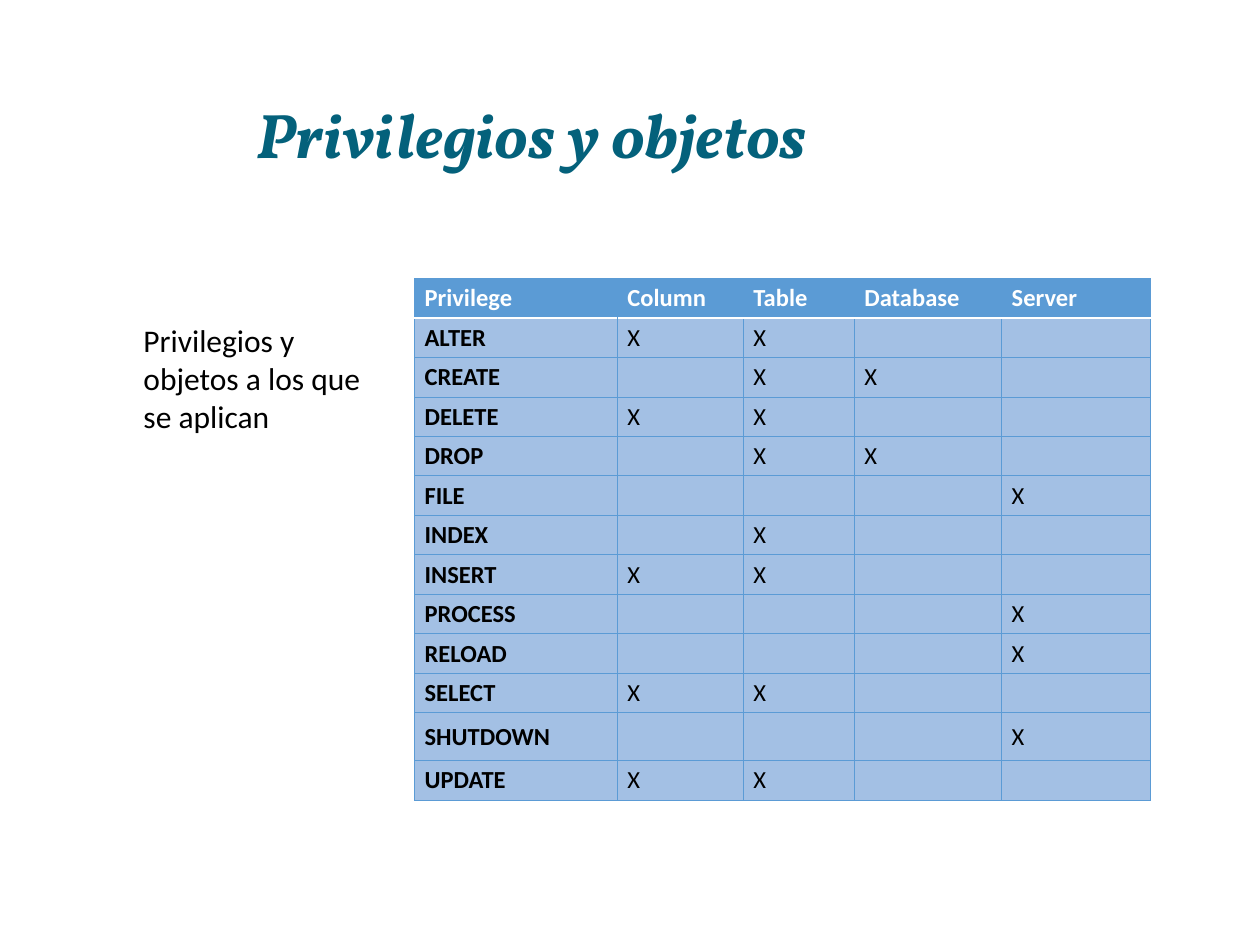
from lxml import etree
from pptx import Presentation
from pptx.dml.color import RGBColor
from pptx.enum.text import MSO_ANCHOR, PP_ALIGN
from pptx.oxml.ns import qn
from pptx.util import Inches, Pt

MIDDLE, TOP = MSO_ANCHOR.MIDDLE, MSO_ANCHOR.TOP
CENTER, LEFT = PP_ALIGN.CENTER, PP_ALIGN.LEFT

# Content
TITLE = "Privilegios y objetos"
CAPTION = "Privilegios y objetos a los que se aplican"
HEADERS = ["Privilege", "Column", "Table", "Database", "Server"]
PRIVILEGES = {
    "ALTER": ["Column", "Table"],
    "CREATE": ["Table", "Database"],
    "DELETE": ["Column", "Table"],
    "DROP": ["Table", "Database"],
    "FILE": ["Server"],
    "INDEX": ["Table"],
    "INSERT": ["Column", "Table"],
    "PROCESS": ["Server"],
    "RELOAD": ["Server"],
    "SELECT": ["Column", "Table"],
    "SHUTDOWN": ["Server"],
    "UPDATE": ["Column", "Table"],
}

# Layout and colours
COLUMN_WIDTHS = [1.61, 1, 0.88, 1.17, 1.18]
ROW_HEIGHT, TALL_ROW = 0.31, 0.38
BLUE, PALE_BLUE, TEAL = "5B9BD5", "A3C0E4", "04617B"
WHITE, BLACK = "FFFFFF", "000000"
TEXT_SIZE = 14


def color(value):
    return RGBColor.from_string(value)


def write(frame, text, size=TEXT_SIZE, font="Calibri", ink=BLACK, bold=False,
          italic=False, align=LEFT, spacing=None):
    paragraph = frame.paragraphs[0]
    paragraph.alignment = align
    if spacing:
        paragraph.line_spacing = spacing
    run = paragraph.add_run()
    run.text = text
    run.font.size, run.font.name = Pt(size), font
    run.font.bold, run.font.italic = bold, italic
    run.font.color.rgb = color(ink)


def add_text(slide, box, text, anchor=TOP, **style):
    frame = slide.shapes.add_textbox(*map(Inches, box)).text_frame
    frame.word_wrap = True
    frame.vertical_anchor = anchor
    write(frame, text, **style)


def set_borders(cell, edges):
    properties = cell._tc.get_or_add_tcPr()
    for position, (side, (ink, width)) in enumerate(edges.items()):
        line = etree.Element(qn(f"a:ln{side}"), w=str(Pt(width)))
        fill = etree.SubElement(line, qn("a:solidFill"))
        etree.SubElement(fill, qn("a:srgbClr"), val=ink)
        properties.insert(position, line)  # borders come before the fill


def fill_cell(cell, text, is_header, is_first_column, is_first_body_row):
    cell.vertical_anchor = MIDDLE
    cell.margin_left = cell.margin_right = Inches(0.08)
    cell.margin_top = cell.margin_bottom = Inches(0.04)
    cell.fill.solid()
    cell.fill.fore_color.rgb = color(BLUE if is_header else PALE_BLUE)
    if text:
        write(cell.text_frame, text, ink=WHITE if is_header else BLACK,
              bold=is_header or is_first_column)
    else:  # keeps empty cells from growing the row
        ending = cell.text_frame.paragraphs[0]._p.get_or_add_endParaRPr()
        ending.set("sz", str(TEXT_SIZE * 100))
    edges = dict.fromkeys("LRTB", (BLUE, 0.5))
    if is_header:
        edges["B"] = (WHITE, 1)
    elif is_first_column:
        edges["R"] = (BLUE, 1)
    if is_first_body_row and not is_first_column:
        edges["T"] = (WHITE, 1)
    set_borders(cell, edges)


def add_privilege_table(slide):
    rows = [HEADERS] + [
        [name] + ["X" if scope in scopes else "" for scope in HEADERS[1:]]
        for name, scopes in PRIVILEGES.items()
    ]
    heights = [TALL_ROW if row[0] == "SHUTDOWN" else ROW_HEIGHT for row in rows]
    frame = slide.shapes.add_table(
        len(rows), len(HEADERS), Inches(3.29), Inches(2.21),
        Inches(sum(COLUMN_WIDTHS)), Inches(sum(heights)))
    table = frame.table
    table.horz_banding = False
    for column, width in zip(table.columns, COLUMN_WIDTHS):
        column.width = Inches(width)
    for r, (row, height) in enumerate(zip(rows, heights)):
        table.rows[r].height = Inches(height)
        for c, text in enumerate(row):
            fill_cell(table.cell(r, c), text, r == 0, c == 0, r == 1)


def main():
    deck = Presentation()
    deck.slide_width, deck.slide_height = Inches(10), Inches(7.5)
    slide = deck.slides.add_slide(deck.slide_layouts[6])

    # Title
    add_text(slide, (0.26, 0.4, 7.92, 1.39), TITLE, anchor=MIDDLE, size=36,
             font="Vollkorn", ink=TEAL, bold=True, italic=True, align=CENTER,
             spacing=0.9)
    # Privileges and the objects they apply to
    add_privilege_table(slide)
    # Caption beside the table
    add_text(slide, (1.04, 2.5, 2.11, 1.01), CAPTION, size=18)

    deck.save("out.pptx")


if __name__ == "__main__":
    main()
